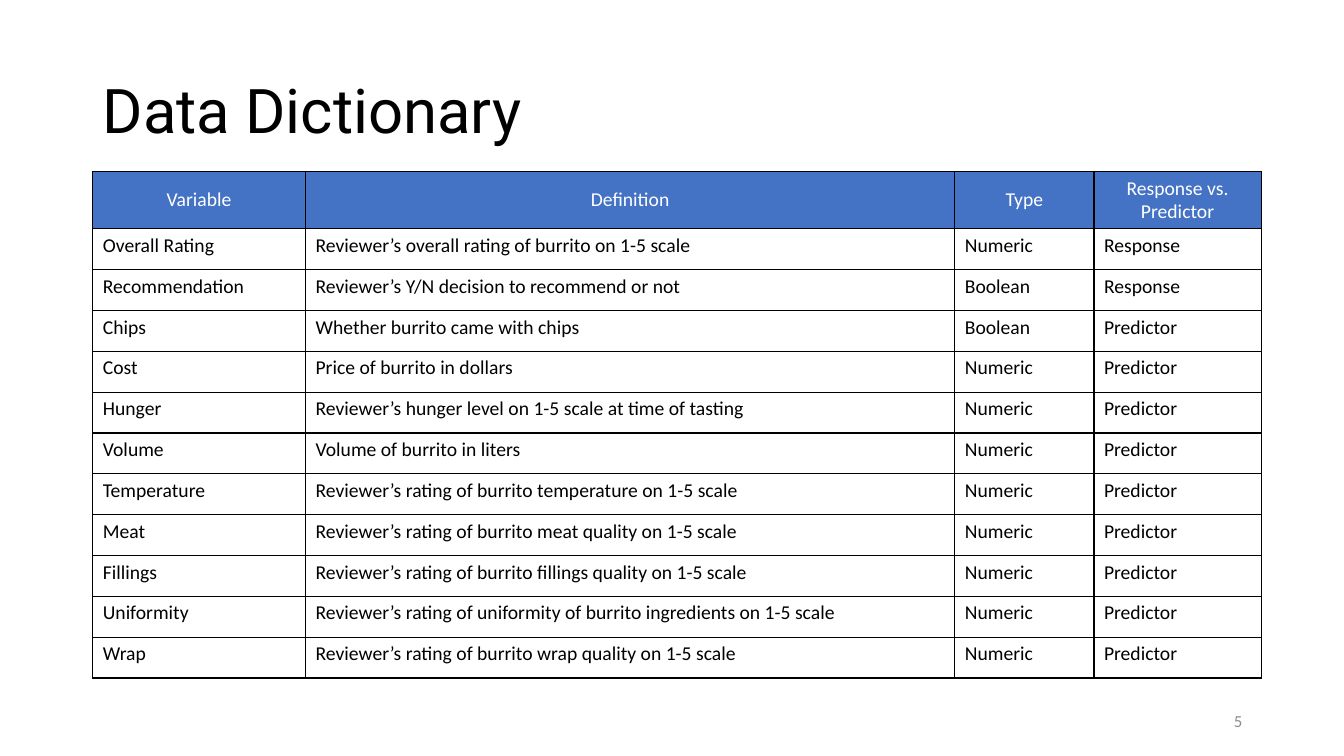
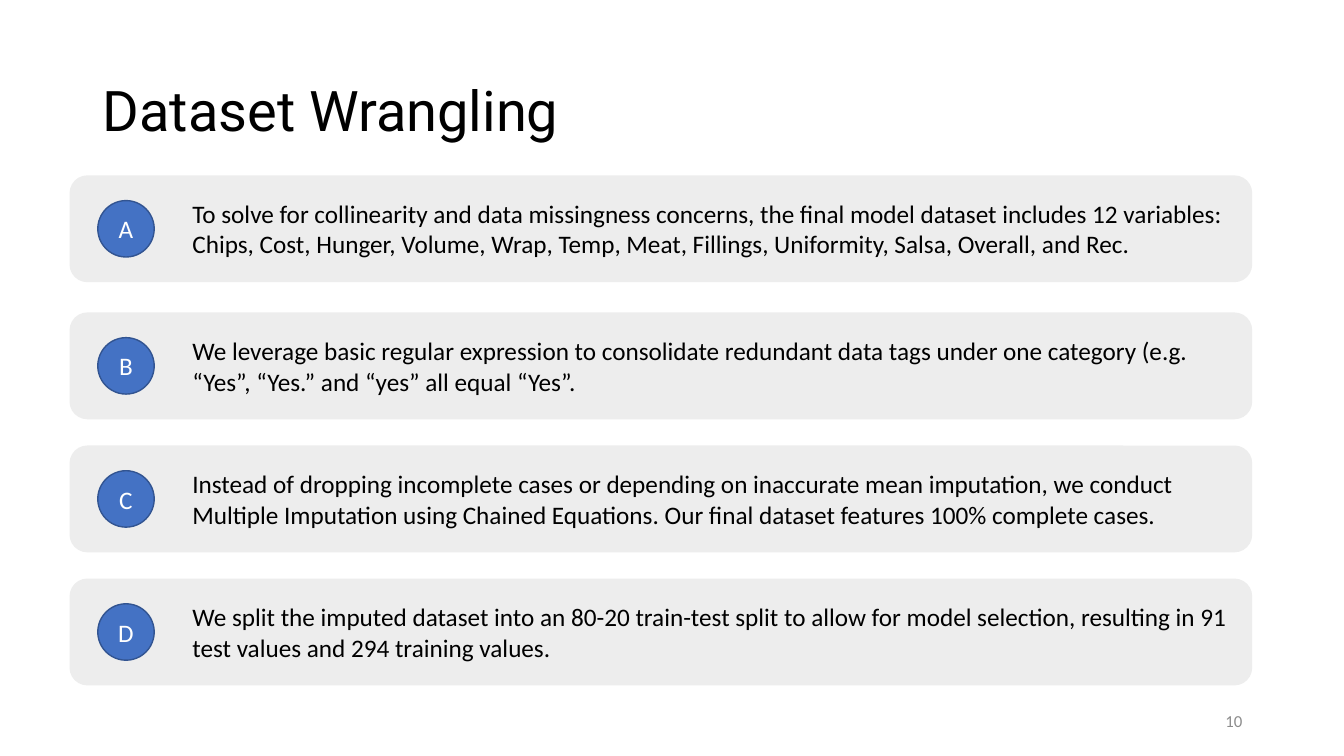
from lxml import etree
from pptx import Presentation
from pptx.dml.color import RGBColor
from pptx.enum.shapes import MSO_SHAPE
from pptx.enum.text import MSO_ANCHOR, PP_ALIGN
from pptx.oxml.ns import qn
from pptx.util import Pt

EMU_PER_PX = 9144  # 100 px to the inch
SLIDE_WIDTH, SLIDE_HEIGHT = 1333, 750

BLACK = RGBColor(0x00, 0x00, 0x00)
WHITE = RGBColor(0xFF, 0xFF, 0xFF)
BLUE = RGBColor(0x44, 0x72, 0xC4)
DARK_BLUE = RGBColor(0x32, 0x54, 0x91)
CARD_GREY = RGBColor(0xED, 0xED, 0xED)
NUMBER_GREY = RGBColor(0x8C, 0x8C, 0x8C)

TITLE_FONT, BODY_FONT = "Roboto", "Calibri"
LEFT, CENTER, RIGHT = PP_ALIGN.LEFT, PP_ALIGN.CENTER, PP_ALIGN.RIGHT
TOP, MIDDLE = MSO_ANCHOR.TOP, MSO_ANCHOR.MIDDLE
ROUNDED, OVAL = MSO_SHAPE.ROUNDED_RECTANGLE, MSO_SHAPE.OVAL

# Boxes are left, top, width, height
TITLE_BOX = (92, 40, 1150, 145)
NUMBER_BOX = (942, 695, 300, 40)
TABLE_BOX = (92, 170, 1160, 503)
COLUMN_WIDTHS = (211, 644, 138, 166)
HEADER_HEIGHT = 57
CARD_LEFT, CARD_WIDTH, CARD_HEIGHT = 69, 1173, 106
BADGE_SIZE = 56

HEADER = ("Variable", "Definition", "Type", "Response vs. Predictor")
VARIABLES = (
    ("Overall Rating", "Reviewer’s overall rating of burrito on 1-5 scale", "Numeric", "Response"),
    ("Recommendation", "Reviewer’s Y/N decision to recommend or not", "Boolean", "Response"),
    ("Chips", "Whether burrito came with chips", "Boolean", "Predictor"),
    ("Cost", "Price of burrito in dollars", "Numeric", "Predictor"),
    ("Hunger", "Reviewer’s hunger level on 1-5 scale at time of tasting", "Numeric", "Predictor"),
    ("Volume", "Volume of burrito in liters", "Numeric", "Predictor"),
    ("Temperature", "Reviewer’s rating of burrito temperature on 1-5 scale", "Numeric", "Predictor"),
    ("Meat", "Reviewer’s rating of burrito meat quality on 1-5 scale", "Numeric", "Predictor"),
    ("Fillings", "Reviewer’s rating of burrito fillings quality on 1-5 scale", "Numeric", "Predictor"),
    ("Uniformity", "Reviewer’s rating of uniformity of burrito ingredients on 1-5 scale",
     "Numeric", "Predictor"),
    ("Wrap", "Reviewer’s rating of burrito wrap quality on 1-5 scale", "Numeric", "Predictor"),
)
# Card top, letter, text
STEPS = (
    (174, "A", "To solve for collinearity and data missingness concerns, the final model dataset "
     "includes 12 variables: Chips, Cost, Hunger, Volume, Wrap, Temp, Meat, Fillings, "
     "Uniformity, Salsa, Overall, and Rec."),
    (310, "B", "We leverage basic regular expression to consolidate redundant data tags under "
     "one category (e.g. “Yes”, “Yes.” and “yes” all equal “Yes”."),
    (442, "C", "Instead of dropping incomplete cases or depending on inaccurate mean imputation, "
     "we conduct Multiple Imputation using Chained Equations. Our final dataset features "
     "100% complete cases."),
    (574, "D", "We split the imputed dataset into an 80-20 train-test split to allow for model "
     "selection, resulting in 91 test values and 294 training values."),
)


def px(length):
    return round(length * EMU_PER_PX)


def emu_box(box):
    return [px(length) for length in box]


def write_text(text_frame, text, size=18, font=BODY_FONT, color=BLACK, align=LEFT, line_spacing=1.0):
    paragraph = text_frame.paragraphs[0]
    paragraph.alignment = align
    paragraph.line_spacing = line_spacing
    run = paragraph.add_run()
    run.text = text
    run.font.size = Pt(size)
    run.font.name = font
    run.font.color.rgb = color


def add_text(slide, box, text, anchor=TOP, **text_format):
    text_frame = slide.shapes.add_textbox(*emu_box(box)).text_frame
    text_frame.word_wrap = True
    text_frame.vertical_anchor = anchor
    write_text(text_frame, text, **text_format)


def add_filled_shape(slide, kind, box, fill, line=None):
    shape = slide.shapes.add_shape(kind, *emu_box(box))
    shape.shadow.inherit = False
    shape.fill.solid()
    shape.fill.fore_color.rgb = fill
    if line is None:
        shape.line.fill.background()
    else:
        shape.line.color.rgb = line
        shape.line.width = Pt(1)
    return shape


def add_base_slide(presentation, title, title_size, number):
    """A blank slide with the shared title and slide number."""
    slide = presentation.slides.add_slide(presentation.slide_layouts[6])
    add_text(slide, TITLE_BOX, title, anchor=MIDDLE, size=title_size, font=TITLE_FONT,
             line_spacing=0.9)
    add_text(slide, NUMBER_BOX, str(number), anchor=MIDDLE, size=12, color=NUMBER_GREY, align=RIGHT)
    return slide


def add_cell_borders(cell):
    properties = cell._tc.get_or_add_tcPr()
    for side in ("a:lnL", "a:lnR", "a:lnT", "a:lnB"):
        line = etree.SubElement(properties, qn(side), w=str(Pt(1)))
        fill = etree.SubElement(line, qn("a:solidFill"))
        etree.SubElement(fill, qn("a:srgbClr"), val=str(BLACK))


def add_variable_table(slide, box):
    rows = (HEADER,) + VARIABLES
    table = slide.shapes.add_table(len(rows), len(HEADER), *emu_box(box)).table
    table.first_row = table.horz_banding = False
    for column, width in zip(table.columns, COLUMN_WIDTHS):
        column.width = px(width)
    body_height = (box[3] - HEADER_HEIGHT) / len(VARIABLES)
    for row_index, texts in enumerate(rows):
        is_header = row_index == 0
        table.rows[row_index].height = px(HEADER_HEIGHT if is_header else body_height)
        for column_index, text in enumerate(texts):
            cell = table.cell(row_index, column_index)
            add_cell_borders(cell)
            cell.fill.solid()
            cell.fill.fore_color.rgb = BLUE if is_header else WHITE
            cell.vertical_anchor = MIDDLE if is_header else TOP
            write_text(cell.text_frame, text, size=14, color=WHITE if is_header else BLACK,
                       align=CENTER if is_header else LEFT)


def add_step_card(slide, box, letter, text):
    left, top, width, height = box
    add_filled_shape(slide, ROUNDED, box, CARD_GREY)
    # Lettered badge, centred in the card's height
    badge_box = (left + 28, top + (height - BADGE_SIZE) // 2, BADGE_SIZE, BADGE_SIZE)
    badge = add_filled_shape(slide, OVAL, badge_box, BLUE, line=DARK_BLUE)
    badge.text_frame.vertical_anchor = MIDDLE
    write_text(badge.text_frame, letter, color=WHITE, align=CENTER)
    # Description
    add_text(slide, (left + 112, top + 18, width - 113, 71), text)


def build_dictionary_slide(presentation):
    slide = add_base_slide(presentation, "Data Dictionary", 44, 5)
    add_variable_table(slide, TABLE_BOX)


def build_wrangling_slide(presentation):
    slide = add_base_slide(presentation, "Dataset Wrangling", 40, 10)
    for top, letter, text in STEPS:
        add_step_card(slide, (CARD_LEFT, top, CARD_WIDTH, CARD_HEIGHT), letter, text)


def main():
    presentation = Presentation()
    presentation.slide_width = px(SLIDE_WIDTH)
    presentation.slide_height = px(SLIDE_HEIGHT)
    build_dictionary_slide(presentation)
    build_wrangling_slide(presentation)
    presentation.save("out.pptx")


if __name__ == "__main__":
    main()
